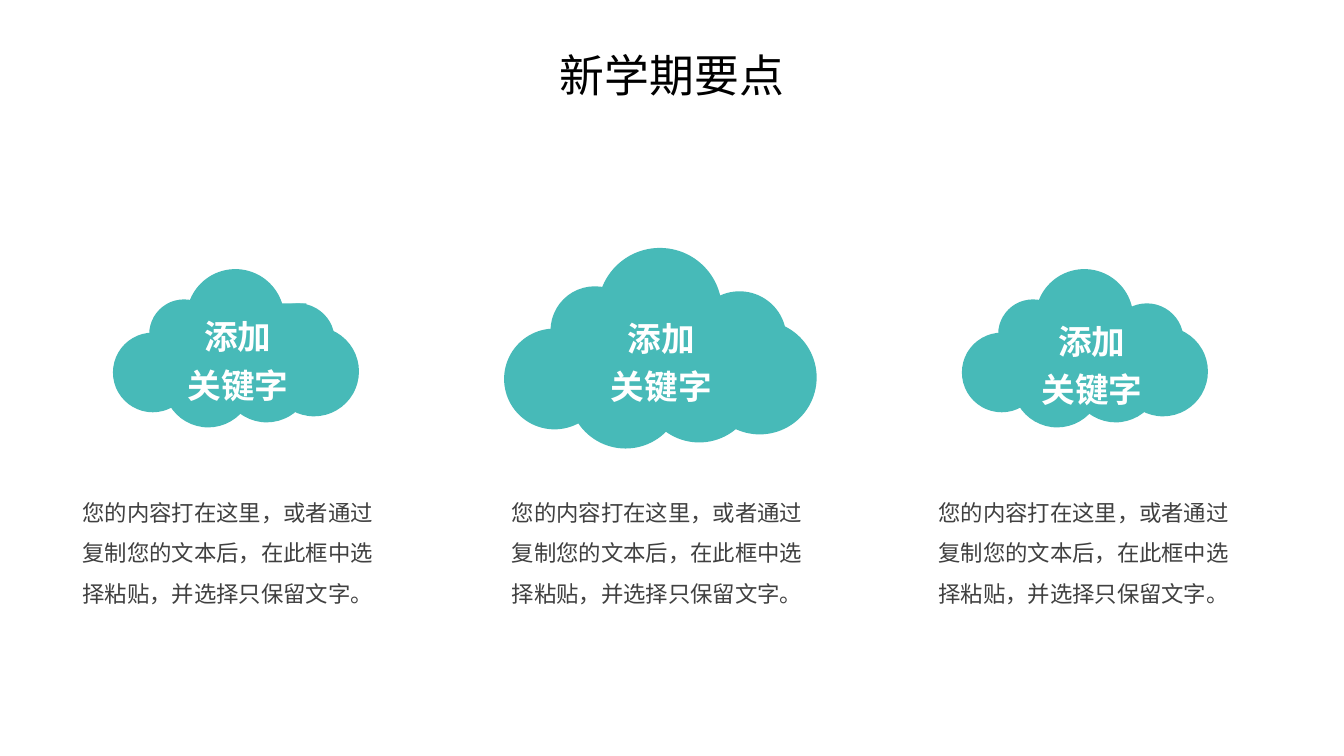
import pptx
import pptx.dml.color
import pptx.enum.shapes
import pptx.enum.text
import pptx.oxml
import pptx.oxml.ns
import pptx.util

PX = 9144
THEME = {
    "font": "Noto Sans CJK SC",
    "cloud": pptx.dml.color.RGBColor.from_string("47BAB8"),
    "title": {"size": 32, "bold": False, "color": "000000"},
    "label": {"size": 24, "bold": True, "color": "FFFFFF"},
    "body": {"size": 16, "bold": False, "color": "404040"},
}
PUFFS = [
    (73, 0, 97),
    (108, 63, 89),
    (50, 68, 89),
    (36, 30, 69),
    (0, 63, 79),
    (147, 34, 73),
    (155, 57, 89),
]
COLUMNS = [
    {"cloud": (112, 267), "scale": 1, "label": (168, 301), "body": (72, 323)},
    {"cloud": (500, 246), "scale": 1.27, "label": (588, 302), "body": (498, 320)},
    {"cloud": (954, 267), "scale": 1, "label": (1015, 305), "body": (921, 323)},
]
LABEL = ["添加", "关键字"]
BODY = ["您的内容打在这里，或者通过复制您的文本后，在此框中选择粘贴，并选择只保留文字。"]


def write_text(shape, lines, style, frame_format, paragraph_format):
    frame = shape.text_frame
    frame.text = "\n".join(lines)
    for name, value in frame_format.items():
        setattr(frame, name, value)
    for paragraph in frame.paragraphs:
        for name, value in paragraph_format.items():
            setattr(paragraph, name, value)
        font = paragraph.runs[0].font
        font_format = {
            "name": THEME["font"],
            "size": pptx.util.Pt(style["size"]),
            "bold": style["bold"],
        }
        for name, value in font_format.items():
            setattr(font, name, value)
        font.color.rgb = pptx.dml.color.RGBColor.from_string(style["color"])
        east_asian = pptx.oxml.parse_xml(
            f'<a:ea {pptx.oxml.ns.nsdecls("a")} typeface="{THEME["font"]}"/>'
        )
        font._element.find(pptx.oxml.ns.qn("a:latin")).addnext(east_asian)


def add_cloud_part(group, kind, left, top, width, height):
    shape = group.shapes.add_shape(
        kind, *[round(length) * PX for length in (left, top, width, height)]
    )
    shape.shadow.inherit = False
    shape.fill.solid()
    shape.fill.fore_color.rgb = THEME["cloud"]
    shape.line.fill.background()
    return shape


presentation = pptx.Presentation()
presentation.slide_width = 1333 * PX
presentation.slide_height = 750 * PX
slide = presentation.slides.add_slide(presentation.slide_layouts[5])

centre = pptx.enum.text.PP_ALIGN.CENTER
left_align = pptx.enum.text.PP_ALIGN.LEFT
middle = pptx.enum.text.MSO_ANCHOR.MIDDLE
top_anchor = pptx.enum.text.MSO_ANCHOR.TOP
grow = pptx.enum.text.MSO_AUTO_SIZE.SHAPE_TO_FIT_TEXT
oval = pptx.enum.shapes.MSO_SHAPE.OVAL
rectangle = pptx.enum.shapes.MSO_SHAPE.RECTANGLE

title = slide.shapes.title
title_place = {"left": 544, "top": 42, "width": 245, "height": 64}
for name, value in title_place.items():
    setattr(title, name, value * PX)
write_text(
    title,
    ["新学期要点"],
    THEME["title"],
    {"word_wrap": False, "auto_size": grow, "vertical_anchor": middle},
    {"alignment": centre},
)

for column in COLUMNS:
    body_left, body_width = column["body"]
    body = slide.shapes.add_textbox(body_left * PX, 477 * PX, body_width * PX, 131 * PX)
    write_text(
        body,
        BODY,
        THEME["body"],
        {"word_wrap": True, "auto_size": grow, "vertical_anchor": top_anchor},
        {"alignment": left_align, "line_spacing": 1.5},
    )

    cloud = slide.shapes.add_group_shape()
    cloud_left, cloud_top = column["cloud"]
    for puff in PUFFS:
        x, y, diameter = [length * column["scale"] for length in puff]
        add_cloud_part(cloud, oval, cloud_left + x, cloud_top + y, diameter, diameter)
    label = add_cloud_part(cloud, rectangle, *column["label"], 136, 103)
    write_text(
        label,
        LABEL,
        THEME["label"],
        {"word_wrap": True, "auto_size": grow, "vertical_anchor": top_anchor},
        {"alignment": centre, "line_spacing": 1.2},
    )

presentation.save("out.pptx")
